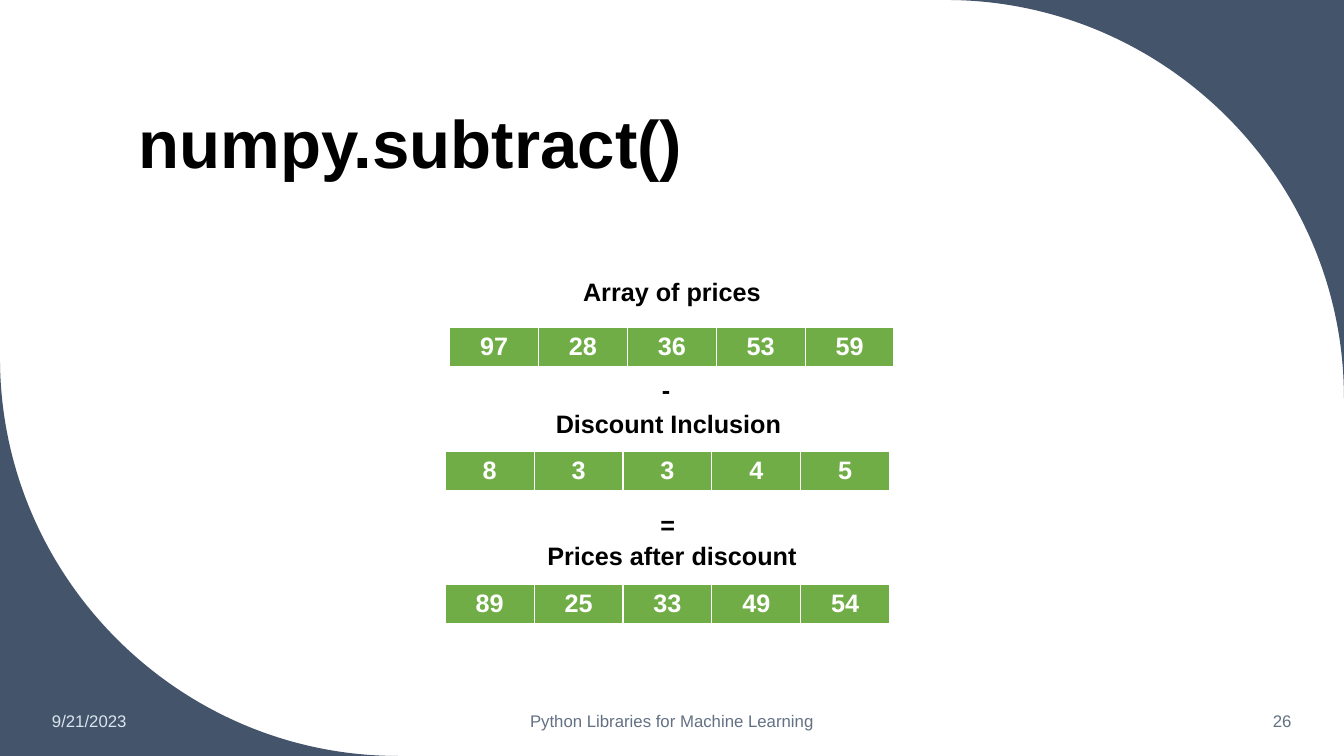
from typing import NamedTuple

from lxml.etree import SubElement
from pptx import Presentation
from pptx.dml.color import RGBColor
from pptx.enum.text import MSO_ANCHOR as Anchor, PP_ALIGN as Align
from pptx.oxml.ns import qn
from pptx.slide import Slide
from pptx.table import _Cell as Cell
from pptx.util import Cm, Pt

BLACK = RGBColor(0x00, 0x00, 0x00)
WHITE = RGBColor(0xFF, 0xFF, 0xFF)
GREEN = RGBColor(0x70, 0xAD, 0x47)
NAVY = RGBColor(0x44, 0x54, 0x6A)
PALE = RGBColor(0xDA, 0xE5, 0xEF)
GREY = RGBColor(0x63, 0x71, 0x83)

FONT = "Arial"
WIDE, HIGH = 33.87, 19.05
CURVE = 10.03
BEND = 0.55
CELL, LINE = 2.24, 1.02
FOOT = 17.65
BORDERS = {"a:lnL": 1, "a:lnR": 1, "a:lnT": 1, "a:lnB": 3}


class Corner(NamedTuple):
    x: float
    y: float
    side: int


class Label(NamedTuple):
    text: str
    left: float
    top: float
    width: float
    height: float = LINE
    size: int = 18
    color: RGBColor = BLACK
    bold: bool = True
    align: Align = Align.CENTER
    anchor: Anchor = Anchor.TOP


class Strip(NamedTuple):
    left: float
    top: float
    values: tuple[int, ...]


CORNERS = (
    Corner(WIDE, 0, -1),
    Corner(0, HIGH, 1),
)

LABELS = (
    Label("numpy.subtract()", 3.25, 1.07, 27.15, 3.68, 48,
          align=Align.LEFT, anchor=Anchor.BOTTOM),
    Label("9/21/2023", 1.06, FOOT, 4.72, LINE, 12, PALE, False,
          Align.LEFT, Anchor.MIDDLE),
    Label("Python Libraries for Machine Learning", 11.22, FOOT, 11.43, LINE,
          12, GREY, False, Align.CENTER, Anchor.MIDDLE),
    Label("26", 28.2, FOOT, 4.6, LINE, 12, GREY, False,
          Align.RIGHT, Anchor.MIDDLE),
    Label("Array of prices", 12.17, 6.83, 9.53),
    Label("-", 16.06, 9.32, 1.45),
    Label("Discount Inclusion ", 12.17, 10.16, 9.53),
    Label("=", 16.1, 12.7, 1.45),
    Label("Prices after discount", 12.17, 13.49, 9.53),
)

STRIPS = (
    Strip(11.33, 8.25, (97, 28, 36, 53, 59)),
    Strip(11.22, 11.38, (8, 3, 3, 4, 5)),
    Strip(11.22, 14.73, (89, 25, 33, 49, 54)),
)


def draw_corner(slide: Slide, corner: Corner) -> None:
    x, y, reach = corner.x, corner.y, corner.side * CURVE
    pen = slide.shapes.build_freeform(Cm(x), Cm(y))
    pen.add_line_segments([(Cm(x + reach), Cm(y)), (Cm(x), Cm(y - reach))],
                          close=True)
    shape = pen.convert_to_shape()
    shape.shadow.inherit = False
    shape.fill.solid()
    shape.fill.fore_color.rgb = NAVY
    shape.line.fill.background()

    edge = list(shape._element.iter(qn("a:lnTo")))[1]
    edge.tag = qn("a:cubicBezTo")
    end = edge[0]
    bends = ((x + reach * (1 - BEND), y), (x, y - reach * (1 - BEND)))
    for bend_x, bend_y in bends:
        point = SubElement(edge, qn("a:pt"))
        point.set("x", str(Cm(bend_x) - shape.left))
        point.set("y", str(Cm(bend_y) - shape.top))
    edge.append(end)


def draw_label(slide: Slide, label: Label) -> None:
    box = slide.shapes.add_textbox(Cm(label.left), Cm(label.top),
                                   Cm(label.width), Cm(label.height))
    frame = box.text_frame
    frame.word_wrap = True
    frame.vertical_anchor = label.anchor
    para = frame.paragraphs[0]
    para.text = label.text
    para.alignment = label.align
    if label.anchor == Anchor.BOTTOM:
        para.line_spacing = 0.9
    para.font.name = FONT
    para.font.size = Pt(label.size)
    para.font.bold = label.bold
    para.font.color.rgb = label.color


def draw_cell(cell: Cell, value: int) -> None:
    props = cell._tc.get_or_add_tcPr()
    for tag, width in BORDERS.items():
        line = SubElement(props, qn(tag), w=str(Pt(width)))
        fill = SubElement(line, qn("a:solidFill"))
        SubElement(fill, qn("a:srgbClr"), val=str(WHITE))
    cell.fill.solid()
    cell.fill.fore_color.rgb = GREEN
    para = cell.text_frame.paragraphs[0]
    para.text = str(value)
    para.alignment = Align.CENTER
    para.font.name = FONT
    para.font.size = Pt(18)
    para.font.bold = True
    para.font.color.rgb = WHITE


def draw_strip(slide: Slide, strip: Strip) -> None:
    count = len(strip.values)
    table = slide.shapes.add_table(1, count, Cm(strip.left), Cm(strip.top),
                                   Cm(CELL * count), Cm(LINE)).table
    for cell, value in zip(table.iter_cells(), strip.values):
        draw_cell(cell, value)


def main() -> None:
    deck = Presentation()
    deck.slide_width = Cm(WIDE)
    deck.slide_height = Cm(HIGH)
    slide = deck.slides.add_slide(deck.slide_layouts[6])
    for corner in CORNERS:
        draw_corner(slide, corner)
    for label in LABELS:
        draw_label(slide, label)
    for strip in STRIPS:
        draw_strip(slide, strip)
    deck.save("out.pptx")


if __name__ == "__main__":
    main()
